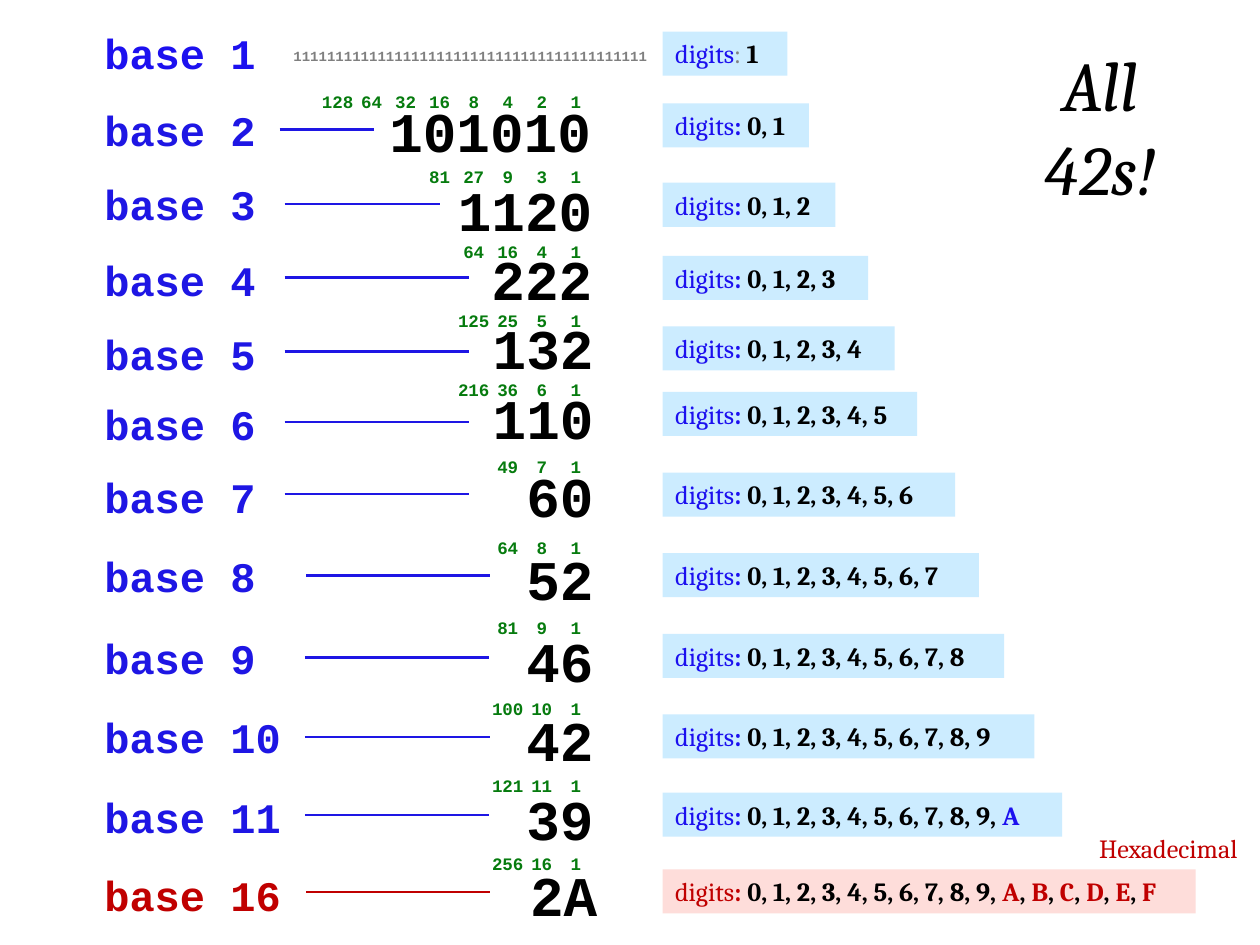
from collections import namedtuple

from lxml.etree import SubElement
from pptx import Presentation
from pptx.dml.color import RGBColor
from pptx.enum.shapes import MSO_CONNECTOR, MSO_SHAPE
from pptx.enum.text import MSO_ANCHOR, MSO_AUTO_SIZE, PP_ALIGN
from pptx.oxml.ns import qn
from pptx.util import Inches, Pt

COLORS = {
    "blue": "1E16E4", "bright": "1C10EF", "red": "C00000", "green": "067B0E",
    "black": "000000", "gray": "7F7F7F", "colon": "808080",
    "sky": "CCECFF", "pink": "FEDDDA",
}
FONTS = {
    "base": {"name": "Courier New", "size": Pt(24), "bold": True},
    "numeral": {"name": "Courier New", "size": Pt(32), "bold": True},
    "weight": {"name": "Courier New", "size": Pt(10), "bold": True},
    "unary": {"name": "Courier New", "size": Pt(8), "bold": True},
    "plain": {"name": "Cambria", "size": Pt(15), "bold": False},
    "strong": {"name": "Cambria", "size": Pt(15), "bold": True},
    "title": {"name": "Cambria", "size": Pt(40), "italic": True},
}
COLS, ROWS = 100, 75
DIGITS = "0123456789ABCDEF"
DIGITS_X, DIGITS_H = 52.6, 3.5
UNIT_X, WEIGHT_STEP = 45.7, 2.7

Row = namedtuple("Row", "base numeral weights base_y weight_y numeral_y right "
                        "line_x line_end line_y digits_y digits_w")
TABLE = [
    Row(2, "101010", 8, 7.8, 6.7, 7.2, 47.9, 22.2, 29.7, 10.3, 8.2, 11.6),
    Row(3, "1120", 5, 13.7, 12.7, 13.4, 48, 22.6, 34.9, 16.2, 14.5, 13.7),
    Row(4, "222", 4, 19.7, 18.6, 20.8, 48, 22.6, 37.2, 22, 20.3, 16.3),
    Row(5, "132", 4, 25.6, 24.1, 26.3, 48.1, 22.6, 37.2, 27.9, 25.9, 18.4),
    Row(6, "110", 4, 31.1, 29.6, 31.8, 48.1, 22.6, 37.2, 33.5, 31.1, 20.2),
    Row(7, "60", 3, 36.9, 35.7, 38, 48.1, 22.6, 37.2, 39.2, 37.5, 23.2),
    Row(8, "52", 3, 43.2, 42.1, 42.7, 48.1, 24.3, 38.9, 45.7, 43.9, 25.1),
    Row(9, "46", 3, 49.7, 48.5, 49.2, 48.1, 24.2, 38.8, 52.2, 50.3, 27.1),
    Row(10, "42", 3, 56, 54.9, 55.5, 48.1, 24.2, 38.9, 58.5, 56.7, 29.5),
    Row(11, "39", 3, 62.3, 61, 61.8, 48.1, 24.2, 38.8, 64.7, 62.9, 31.7),
    Row(16, "2A", 3, 68.5, 67.2, 67.8, 48.4, 24.3, 38.9, 70.8, 69, 42.3),
]


def color(key):
    """Return the named palette colour."""
    return RGBColor.from_string(COLORS[key])


class Board:
    """Hold the current slide and its grid, and draw each kind of element."""

    def __init__(self, prs):
        """Add a blank slide and measure its grid cells."""
        self.s = prs.slides.add_slide(prs.slide_layouts[6])
        self.cell_w = prs.slide_width / COLS
        self.cell_h = prs.slide_height / ROWS

    def grid(self, x, y):
        """Turn columns and rows into slide lengths."""
        return round(x * self.cell_w), round(y * self.cell_h)

    def fill_text(self, sp, runs, align, wrap=True, spacing=None):
        """Fill a shape with one paragraph of (text, font, colour) runs."""
        tf = sp.text_frame
        frame = {"word_wrap": wrap, "auto_size": MSO_AUTO_SIZE.SHAPE_TO_FIT_TEXT,
                 "vertical_anchor": MSO_ANCHOR.TOP}
        for key, value in frame.items():
            setattr(tf, key, value)
        p = tf.paragraphs[0]
        p.alignment, p.line_spacing = align, spacing
        for text, font, ink in runs:
            r = p.add_run()
            r.text = text
            for key, value in FONTS[font].items():
                setattr(r.font, key, value)
            r.font.color.rgb = color(ink)

    def text(self, x, y, w, h, text, font, ink, align=PP_ALIGN.LEFT, **options):
        """Add a text box."""
        sp = self.s.shapes.add_textbox(*self.grid(x, y), *self.grid(w, h))
        self.fill_text(sp, [(text, font, ink)], align, **options)

    def panel(self, x, y, w, h, fill, runs):
        """Add a filled rectangle with text."""
        sp = self.s.shapes.add_shape(
            MSO_SHAPE.RECTANGLE, *self.grid(x, y), *self.grid(w, h))
        sp.shadow.inherit = False
        sp.fill.solid()
        sp.fill.fore_color.rgb = color(fill)
        sp.line.fill.background()
        self.fill_text(sp, runs, PP_ALIGN.LEFT)

    def line(self, x, end, y, ink):
        """Add a horizontal line."""
        sp = self.s.shapes.add_connector(
            MSO_CONNECTOR.STRAIGHT, *self.grid(x, y), *self.grid(end, y))
        sp.line.color.rgb = color(ink)
        sp.line.width = Pt(1.5)
        SubElement(sp._element.spPr, qn("a:effectLst"))


def digit_runs(base, accent):
    """List the runs naming the digits of a base, letters in the accent."""
    runs = [("digits", "plain", accent), (": ", "strong", accent),
            (", ".join(DIGITS[:min(base, 10)]), "strong", "black")]
    for letter in DIGITS[10:base]:
        runs += [(", ", "strong", "black"), (letter, "strong", accent)]
    return runs


def draw_row(board, row):
    """Draw one base with its line, place weights, numeral and digits."""
    hexadecimal = row.base == 16
    ink, accent, fill = (("red", "red", "pink") if hexadecimal
                         else ("blue", "bright", "sky"))
    tight = 4 <= row.base <= 7
    width = 25 if row.base < 8 else 11.7
    board.text(7.3, row.base_y, 33.3, 5, f"base {row.base}", "base", ink)
    board.line(row.line_x, row.line_end, row.line_y, ink)
    for place in range(row.weights):
        weight = str(row.base ** place)
        w = 2 + 0.83 * len(weight)
        board.text(UNIT_X - place * WEIGHT_STEP - w / 2, row.weight_y, w, 2.7,
                   weight, "weight", "green", PP_ALIGN.CENTER, wrap=False)
    board.text(row.right - width, row.numeral_y, width, 4.2 if tight else 6.3,
               row.numeral, "numeral", "black", PP_ALIGN.RIGHT,
               spacing=0.6 if tight else None)
    board.panel(DIGITS_X, row.digits_y, row.digits_w, DIGITS_H, fill,
                digit_runs(row.base, accent))


def main():
    """Build and save the slide."""
    prs = Presentation()
    prs.slide_width, prs.slide_height = Inches(10), Inches(7.5)
    board = Board(prs)
    board.text(7.3, 1.7, 33.3, 5, "base 1", "base", "bright")
    board.text(22.3, 3.3, 31.2, 3.7, "1" * 42, "unary", "gray")
    board.panel(DIGITS_X, 2.5, 9.9, DIGITS_H, "sky",
                [("digits", "plain", "bright"), (": ", "plain", "colon"),
                 ("1", "strong", "black")])
    for row in TABLE:
        draw_row(board, row)
    board.text(76.7, 65.6, 22.5, 3.5, "Hexadecimal", "plain", "red", PP_ALIGN.RIGHT)
    board.text(79.6, 2.8, 15.5, 14.5, "All 42s!", "title", "black", PP_ALIGN.CENTER)
    prs.save("out.pptx")


if __name__ == "__main__":
    main()
